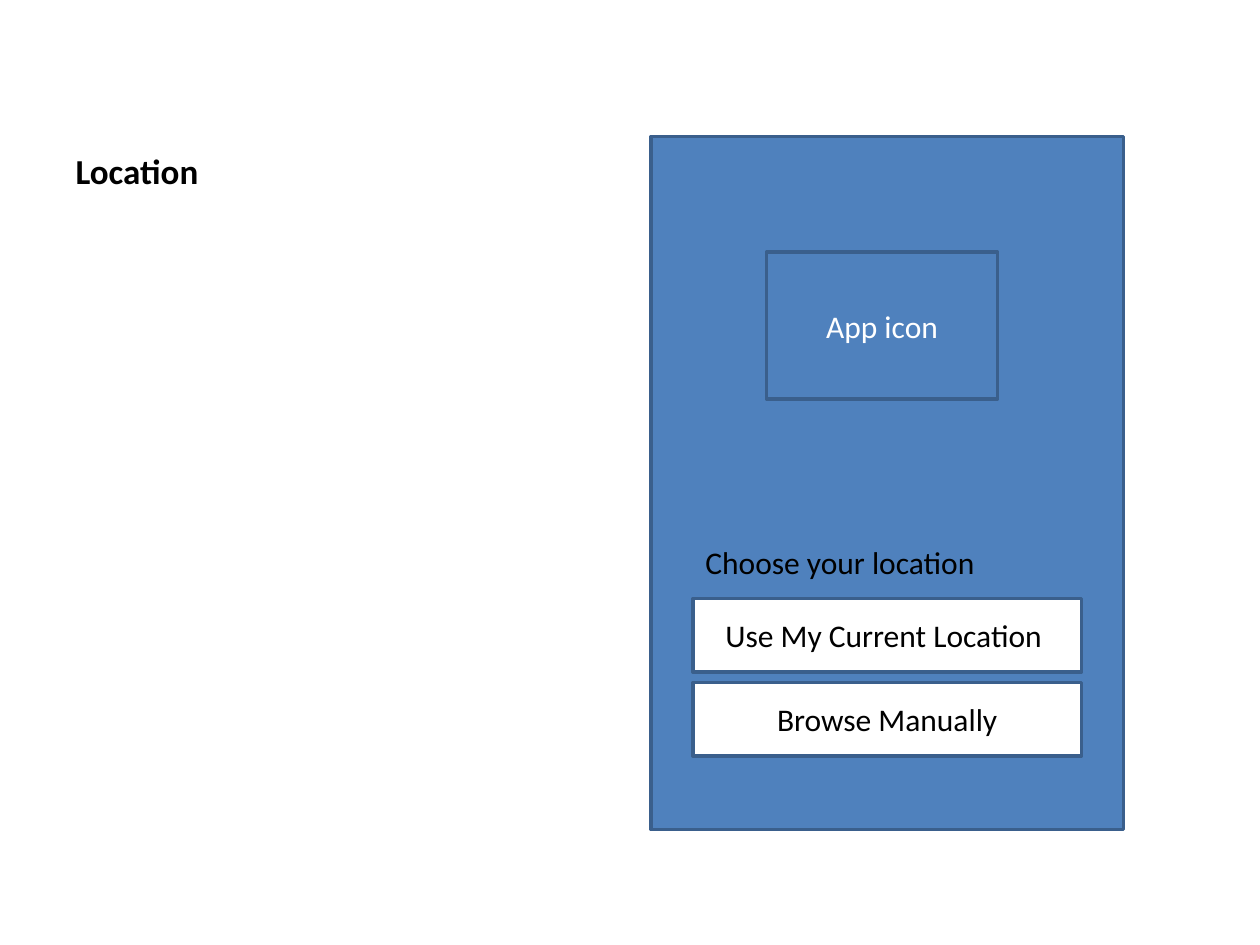
"""Build the location screen wireframe slide."""
import pptx
import pptx.util
import pptx.dml.color
import pptx.enum.shapes
import pptx.enum.text

ALIGN = pptx.enum.text.PP_ALIGN
ANCHOR = pptx.enum.text.MSO_ANCHOR
UNITS_PER_INCH = 12
BLUE, EDGE, WHITE, BLACK = "4F81BD", "3A5F8C", "FFFFFF", "000000"

TITLE = ("Location", (6, 3.6, 39.5, 15.2))
PROMPT = ("Choose your location", (66, 51.1, 33, 4.8))
PHONE = (62, 13, 45, 66)
ICON = ("App icon", (73, 24, 22, 14))
BUTTONS = ["Use My Current Location ", "Browse Manually"]
BUTTON_LEFT, BUTTON_TOP, BUTTON_WIDTH, BUTTON_HEIGHT, BUTTON_GAP = 66, 57, 37, 7, 1


def color(value):
    return pptx.dml.color.RGBColor.from_string(value)


def place(units):
    return [pptx.util.Inches(unit / UNITS_PER_INCH) for unit in units]


def write(box, text, ink=BLACK, size=18, bold=False, align=ALIGN.LEFT, anchor=ANCHOR.TOP):
    frame = box.text_frame
    frame.word_wrap = True
    frame.vertical_anchor = anchor
    para = frame.paragraphs[0]
    para.alignment = align
    span = para.add_run()
    span.text = text
    looks = {"name": "Calibri", "size": pptx.util.Pt(size), "bold": bold}
    for name, value in looks.items():
        setattr(span.font, name, value)
    span.font.color.rgb = color(ink)


def add_panel(page, units, fill, text="", ink=BLACK):
    panel = page.shapes.add_shape(pptx.enum.shapes.MSO_SHAPE.RECTANGLE, *place(units))
    panel.shadow.inherit = False
    panel.fill.solid()
    panel.fill.fore_color.rgb = color(fill)
    panel.line.color.rgb = color(EDGE)
    panel.line.width = pptx.util.Pt(2)
    if text:
        write(panel, text, ink, align=ALIGN.CENTER, anchor=ANCHOR.MIDDLE)


def main():
    deck = pptx.Presentation()
    deck.slide_width, deck.slide_height = pptx.util.Inches(10), pptx.util.Inches(7.5)
    page = deck.slides.add_slide(deck.slide_layouts.get_by_name("Title Only"))

    text, units = TITLE
    title = page.shapes.title
    for name, value in zip(("left", "top", "width", "height"), place(units)):
        setattr(title, name, value)
    write(title, text, size=20, bold=True, anchor=ANCHOR.BOTTOM)

    add_panel(page, PHONE, BLUE)
    for row, label in enumerate(BUTTONS):
        top = BUTTON_TOP + row * (BUTTON_HEIGHT + BUTTON_GAP)
        add_panel(page, (BUTTON_LEFT, top, BUTTON_WIDTH, BUTTON_HEIGHT), WHITE, label)
    text, units = ICON
    add_panel(page, units, BLUE, text, WHITE)

    text, units = PROMPT
    prompt = page.shapes.add_textbox(*place(units))
    write(prompt, text)
    prompt.text_frame.auto_size = pptx.enum.text.MSO_AUTO_SIZE.SHAPE_TO_FIT_TEXT

    deck.save("out.pptx")


if __name__ == "__main__":
    main()
